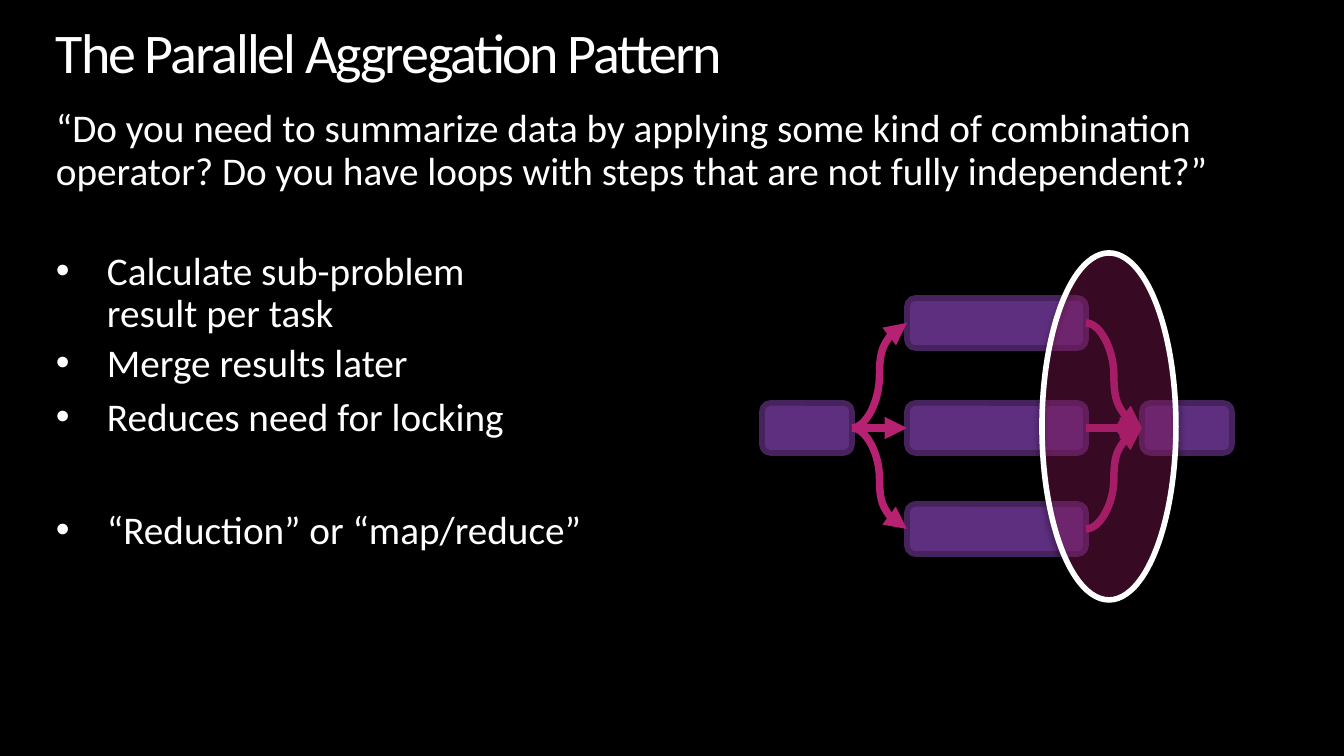
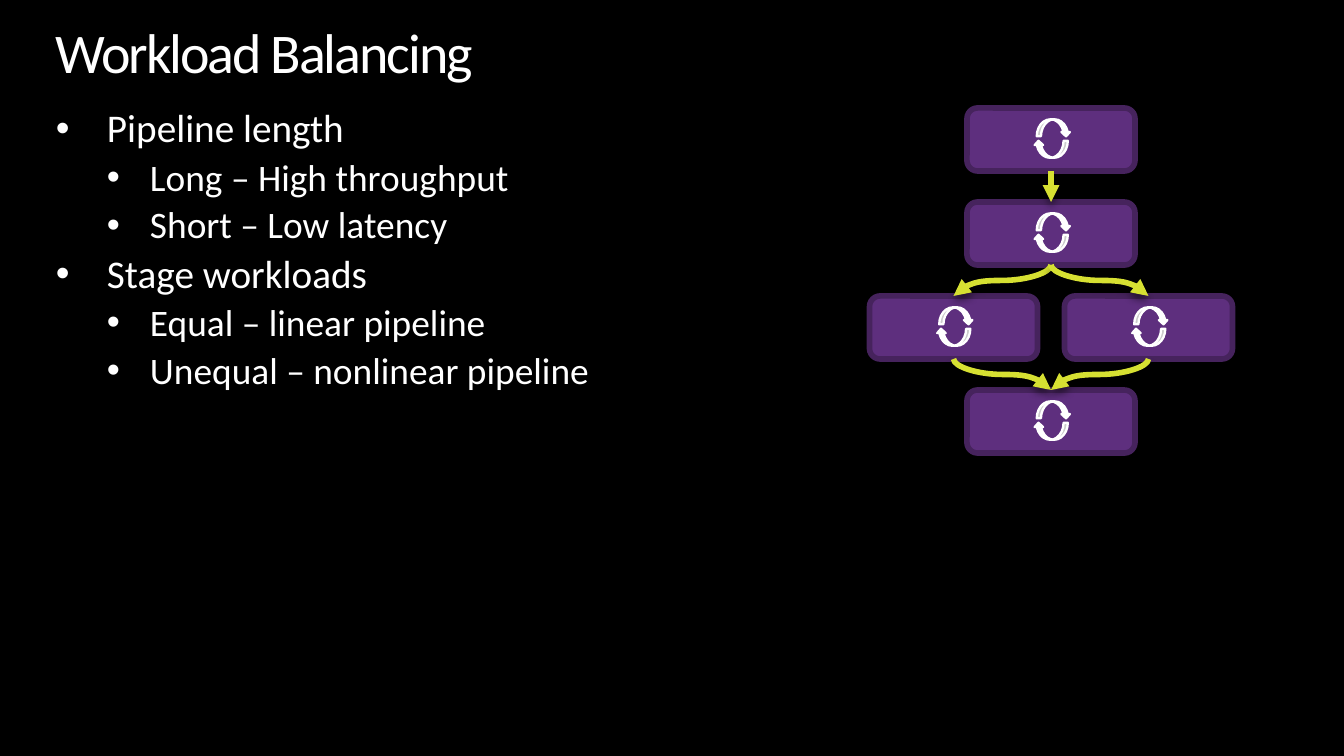
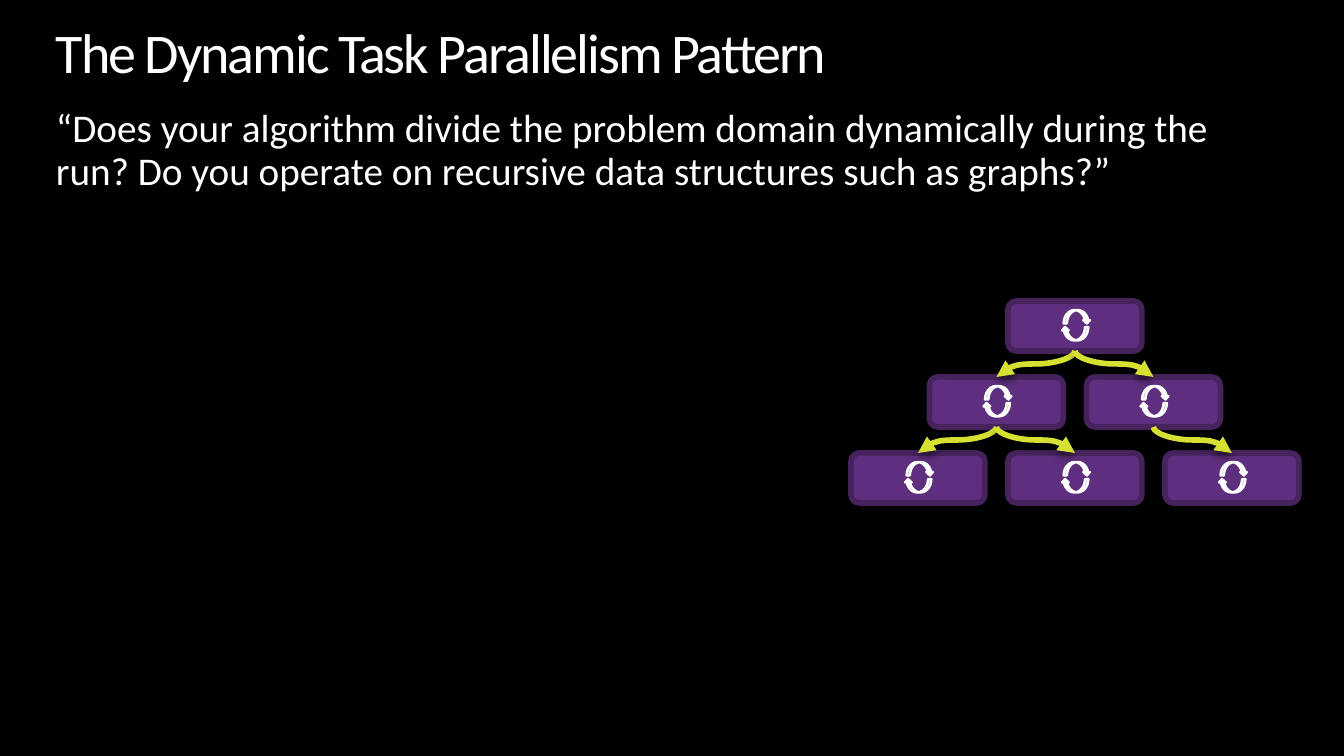
from lxml import etree
from pptx import Presentation
from pptx import util as u
from pptx.dml.color import RGBColor
from pptx.enum import shapes, text
from pptx.oxml.ns import qn

PX = 914400 / 134.4
FONT = "Calibri"
BLACK, WHITE = "000000", "FFFFFF"
PURPLE, DARK_PURPLE = "5E2F7E", "46235D"
PINK, LIME = "B72172", "D6E032"
MARGIN, TEXT_WIDTH = 56, 1232
TOP, LEFT, BOTTOM, RIGHT = range(4)
INDENTS = [(51, 51), (94, 43)]  # left margin and hanging indent by level


def px(length):
    return u.Emu(round(length * PX))


def rgb(color):
    return RGBColor.from_string(color)


def child(parent, tag, **attributes):
    element = etree.SubElement(parent, qn(tag))
    for name, value in attributes.items():
        element.set(name, str(value))
    return element


def set_effects(shape, shadow):
    """Replace the theme's shadow by a soft one below the shape, or by none."""
    effects = child(shape._element.spPr, "a:effectLst")
    if shadow:
        outer = child(effects, "a:outerShdw", blurRad=u.Pt(4), dist=u.Pt(3),
                      dir=5400000, rotWithShape=0)
        child(child(outer, "a:srgbClr", val=BLACK), "a:alpha", val=43000)


def add_preset(slide, kind, box, fill, line, line_width, alpha=None, shadow=False):
    shape = slide.shapes.add_shape(kind, *map(px, box))
    shape.fill.solid()
    shape.fill.fore_color.rgb = rgb(fill)
    if alpha:
        color = shape._element.spPr.find(qn("a:solidFill"))[0]
        child(color, "a:alpha", val=alpha * 1000)
    shape.line.color.rgb = rgb(line)
    shape.line.width = u.Pt(line_width)
    set_effects(shape, shadow)
    return shape


def add_task(slide, *box):
    return add_preset(slide, shapes.MSO_SHAPE.ROUNDED_RECTANGLE, box,
                      PURPLE, DARK_PURPLE, 3)


def add_loop_task(slide, left, top, width, height):
    """A task box with two arrows that chase each other."""
    task = add_task(slide, left, top, width, height)
    for x, y, rotation in ((0.415, 0.18, 0), (0.4, 0.52, 180)):
        box = (left + x * width, top + y * height, 0.2 * width, 0.27 * height)
        arrow = add_preset(slide, shapes.MSO_SHAPE.CURVED_DOWN_ARROW, box,
                           WHITE, WHITE, 1.25)
        arrow.rotation = rotation
    return task


def add_arrow(slide, start, start_side, end, end_side, color, width, shadow=False):
    connector = slide.shapes.add_connector(shapes.MSO_CONNECTOR.CURVE, 0, 0, 0, 0)
    connector.begin_connect(start, start_side)
    connector.end_connect(end, end_side)
    connector.line.color.rgb = rgb(color)
    connector.line.width = u.Pt(width)
    child(connector.line._get_or_add_ln(), "a:tailEnd", type="triangle")
    set_effects(connector, shadow)
    return connector


def add_down_arrow(slide, start, end):
    """A curve that leaves downwards: a level one, turned by a quarter."""
    connector = add_arrow(slide, start, BOTTOM, end, TOP, LIME, 3, shadow=True)
    left, top = connector.left, connector.top
    across, down = connector.width, connector.height
    to_right = connector.end_x > connector.begin_x
    connector.left = left + (across - down) // 2
    connector.top = top + (down - across) // 2
    connector.width, connector.height = down, across
    frame = connector._element.spPr.find(qn("a:xfrm"))
    frame.set("rot", str((270 if to_right else 90) * 60000))
    frame.set("flipH", "1" if to_right else "0")


def add_bullet(paragraph, level):
    paragraph.level = level
    margin, hanging = INDENTS[level]
    properties = paragraph._p.get_or_add_pPr()
    properties.set("marL", str(px(margin)))
    properties.set("indent", str(-px(hanging)))
    child(properties, "a:buFont", typeface="Arial")
    child(properties, "a:buChar", char="•")


def write(paragraph, content, size=21, level=None, before=0, tracking=None):
    """Fill a paragraph; a level makes it a bullet."""
    paragraph.text = content
    paragraph.line_spacing = 0.9
    paragraph.space_before = u.Pt(before)
    if level is not None:
        add_bullet(paragraph, level)
    for run in paragraph.runs:
        run.font.name = FONT
        run.font.size = u.Pt(size)
        run.font.color.rgb = rgb(WHITE)
        if tracking:
            run._r.get_or_add_rPr().set("spc", str(tracking))


def add_text(slide, top, height, lines):
    """Lines are pairs of a text and its format."""
    box = slide.shapes.add_textbox(*map(px, (MARGIN, top, TEXT_WIDTH, height)))
    frame = box.text_frame
    frame.word_wrap = True
    frame.auto_size = text.MSO_AUTO_SIZE.SHAPE_TO_FIT_TEXT
    frame.margin_left = frame.margin_right = frame.margin_top = frame.margin_bottom = 0
    for index, (content, style) in enumerate(lines):
        paragraph = frame.add_paragraph() if index else frame.paragraphs[0]
        write(paragraph, content, **style)


def add_slide(presentation, title, body_height, body):
    slide = presentation.slides.add_slide(presentation.slide_layouts[6])
    slide.background.fill.solid()
    slide.background.fill.fore_color.rgb = rgb(BLACK)
    add_text(slide, 25, 60, [(title, dict(size=30, tracking=-110))])
    add_text(slide, 109, body_height, body)
    return slide


def add_task_graph(slide, center, top, size, steps, cells, links):
    """Cells are (column, row) counted from the top middle task."""
    width, height = size
    tasks = [
        add_loop_task(slide, center + column * steps[0] - width / 2,
                      top + row * steps[1], width, height)
        for column, row in cells
    ]
    for start, end in links:
        add_down_arrow(slide, tasks[start], tasks[end])


def add_aggregation(presentation):
    slide = add_slide(presentation, "The Parallel Aggregation Pattern", 507, [
        ("“Do you need to summarize data by applying some kind of combination "
         "operator? Do you have loops with steps that are not fully independent?”", {}),
        ("Calculate sub-problem\vresult per task", dict(level=0, before=31)),
        ("Merge results later", dict(level=0, before=4)),
        ("Reduces need for locking", dict(level=0, before=6)),
        ("“Reduction” or “map/reduce”", dict(level=0, before=38)),
    ])
    fork = add_task(slide, 762, 403, 90, 50)
    merge = add_task(slide, 1142, 403, 90, 50)
    for top in (298, 403, 504):
        part = add_task(slide, 907, top, 179, 50)
        add_arrow(slide, fork, RIGHT, part, LEFT, PINK, 4)
        add_arrow(slide, part, RIGHT, merge, LEFT, PINK, 4)
    add_preset(slide, shapes.MSO_SHAPE.OVAL, (1042, 253, 134, 347),
               PINK, WHITE, 3, alpha=30, shadow=True)


def add_balancing(presentation):
    main_point = dict(level=0, before=4)
    detail = dict(level=1, size=20, before=4)
    slide = add_slide(presentation, "Workload Balancing", 216, [
        ("Pipeline length", dict(level=0)),
        ("Long – High throughput", detail),
        ("Short – Low latency", detail),
        ("Stage workloads", main_point),
        ("Equal – linear pipeline", detail),
        ("Unequal – nonlinear pipeline", detail),
    ])
    add_task_graph(slide, 1051, 108, (168, 63), (195, 94),
                   cells=[(0, 0), (0, 1), (-0.5, 2), (0.5, 2), (0, 3)],
                   links=[(0, 1), (1, 2), (1, 3), (2, 4), (3, 4)])


def add_dynamic_tasks(presentation):
    slide = add_slide(presentation, "The Dynamic Task Parallelism Pattern", 86, [
        ("“Does your algorithm divide the problem domain dynamically during the "
         "run? Do you operate on recursive data structures such as graphs?”", {}),
    ])
    add_task_graph(slide, 1075, 301, (134, 50), (157, 76),
                   cells=[(0, 0), (-0.5, 1), (0.5, 1), (-1, 2), (0, 2), (1, 2)],
                   links=[(0, 1), (0, 2), (1, 3), (1, 4), (2, 5)])


def main():
    presentation = Presentation()
    presentation.slide_width, presentation.slide_height = px(1344), px(756)
    add_aggregation(presentation)
    add_balancing(presentation)
    add_dynamic_tasks(presentation)
    presentation.save("out.pptx")


if __name__ == "__main__":
    main()
